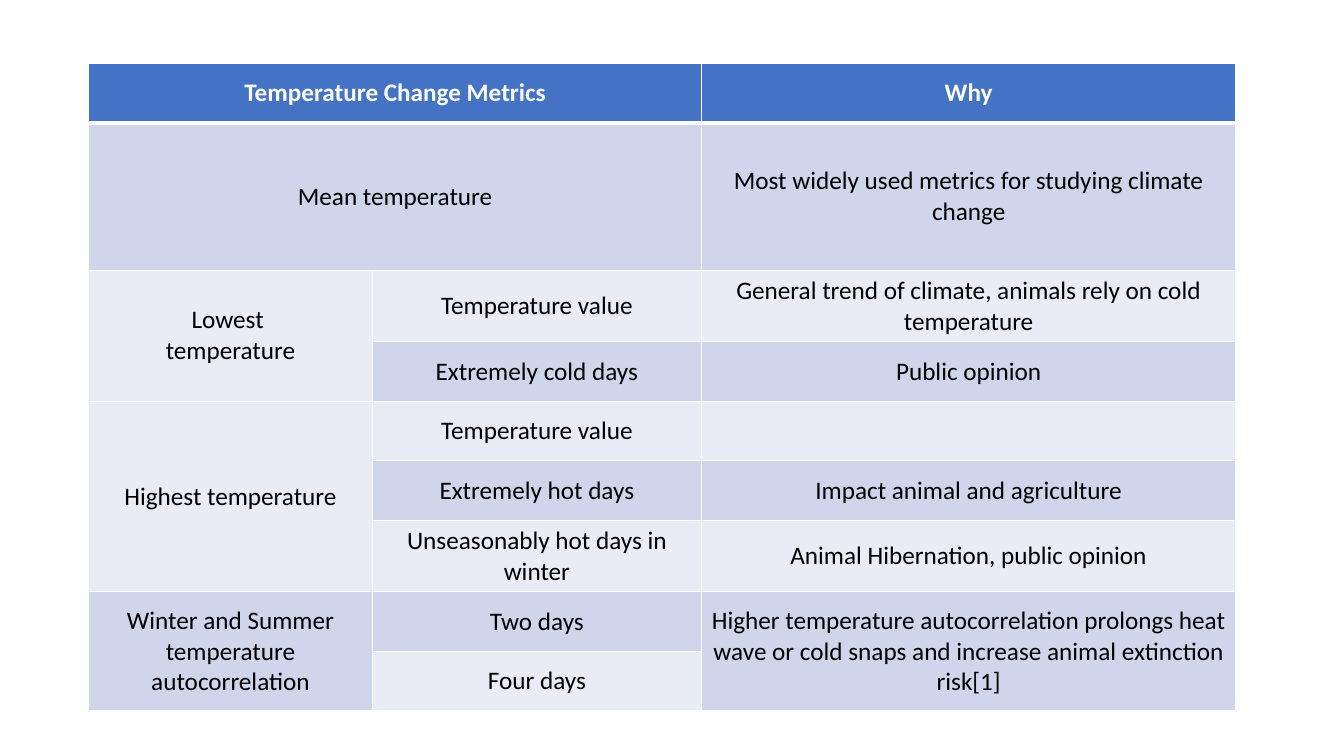
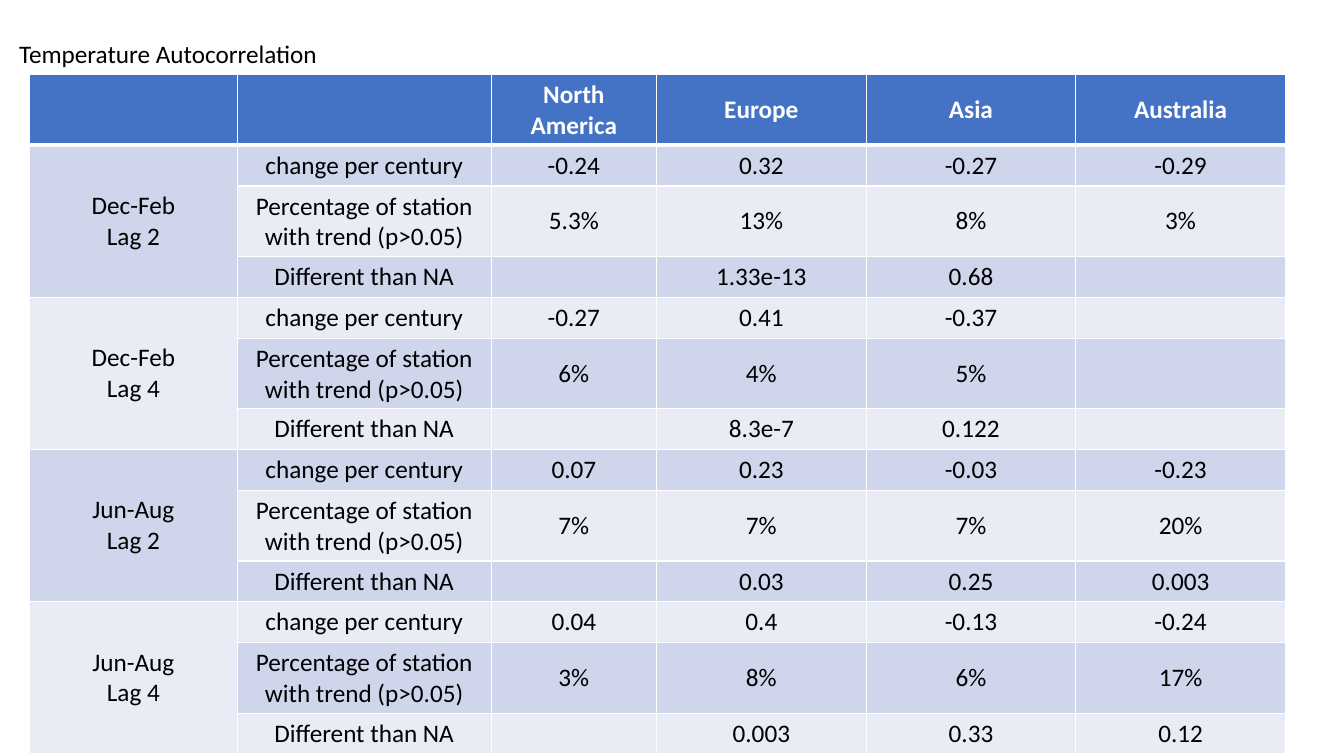
from dataclasses import dataclass

from lxml.etree import SubElement
from pptx import Presentation
from pptx.dml.color import RGBColor as Rgb
from pptx.enum.text import MSO_ANCHOR as Anchor, MSO_AUTO_SIZE as AutoSize, PP_ALIGN as Align
from pptx.oxml.ns import qn
from pptx.util import Inches, Pt


@dataclass(frozen=True)
class Theme:
    header: str = "4472C4"
    bands: tuple = ("E9EBF5", "CFD5EA")
    border: str = "FFFFFF"
    header_text: str = "FFFFFF"
    text: str = "000000"
    font: str = "Calibri"
    size: int = 18
    thin: int = 1
    thick: int = 3


THEME = Theme()
WIDTH, HEIGHT = Inches(13.33), Inches(7.5)

METRIC_ROWS = [
    ["Temperature Change Metrics", "", "Why"],
    ["Mean temperature", "", "Most widely used metrics for studying climate change"],
    ["Lowest \ntemperature", "Temperature value",
     "General trend of climate, animals rely on cold temperature"],
    ["", "Extremely cold days", "Public opinion"],
    ["Highest temperature", "Temperature value", ""],
    ["", "Extremely hot days", "Impact animal and agriculture"],
    ["", "Unseasonably hot days in winter", "Animal Hibernation, public opinion"],
    ["Winter and Summer temperature autocorrelation", "Two days",
     "Higher temperature autocorrelation prolongs heat wave or cold snaps "
     "and increase animal extinction risk[1]"],
    ["", "Four days", ""],
]
METRIC_MERGES = [
    ((0, 0), (0, 1)), ((1, 0), (1, 1)), ((2, 0), (3, 0)),
    ((4, 0), (6, 0)), ((7, 0), (8, 0)), ((7, 2), (8, 2)),
]

REGIONS = ["North America", "Europe", "Asia", "Australia"]
MEASURES = ["change per century", "Percentage of station with trend (p>0.05)", "Different than NA"]
SEASONS = {
    "Dec-Feb\nLag 2": [
        ["-0.24", "0.32", "-0.27", "-0.29"],
        ["5.3%", "13%", "8%", "3%"],
        ["", "1.33e-13", "0.68", ""],
    ],
    "Dec-Feb\nLag 4": [
        ["-0.27", "0.41", "-0.37", ""],
        ["6%", "4%", "5%", ""],
        ["", "8.3e-7", "0.122", ""],
    ],
    "Jun-Aug\nLag 2": [
        ["0.07", "0.23", "-0.03", "-0.23"],
        ["7%", "7%", "7%", "20%"],
        ["", "0.03", "0.25", "0.003"],
    ],
    "Jun-Aug\nLag 4": [
        ["0.04", "0.4", "-0.13", "-0.24"],
        ["3%", "8%", "6%", "17%"],
        ["", "0.003", "0.33", "0.12"],
    ],
}


def across(percent):
    return round(WIDTH * percent / 100)


def down(percent):
    return round(HEIGHT * percent / 100)


def apply(target, values):
    for name, value in values.items():
        setattr(target, name, value)


def write(frame, text, color, bold=False, align=Align.LEFT):
    frame.text = text
    for para in frame.paragraphs:
        para.alignment = align
        for span in para.runs:
            apply(span.font, {"name": THEME.font, "size": Pt(THEME.size), "bold": bold})
            span.font.color.rgb = Rgb.from_string(color)


def draw_borders(cell, row):
    widths = {
        "a:lnL": THEME.thin,
        "a:lnR": THEME.thin,
        "a:lnT": THEME.thick if row == 1 else THEME.thin,
        "a:lnB": THEME.thick if row == 0 else THEME.thin,
    }
    properties = cell._tc.get_or_add_tcPr()
    for side, points in widths.items():
        line = SubElement(properties, qn(side), w=str(Pt(points)))
        fill = SubElement(line, qn("a:solidFill"))
        SubElement(fill, qn("a:srgbClr"), val=THEME.border)


def format_cell(cell, row, text):
    is_header = row == 0
    draw_borders(cell, row)
    cell.fill.solid()
    cell.fill.fore_color.rgb = Rgb.from_string(THEME.header if is_header else THEME.bands[row % 2])
    cell.vertical_anchor = Anchor.MIDDLE
    color = THEME.header_text if is_header else THEME.text
    write(cell.text_frame, text, color, bold=is_header, align=Align.CENTER)


def add_grid(page, left, top, columns, heights, rows, merges):
    grid = page.shapes.add_table(
        len(rows), len(columns), across(left), down(top), across(sum(columns)), down(sum(heights))
    ).table
    apply(grid, {"first_row": True, "horz_banding": False})
    for column, share in zip(grid.columns, columns):
        column.width = across(share)
    for line, share in zip(grid.rows, heights):
        line.height = down(share)
    for row, texts in enumerate(rows):
        for column, text in enumerate(texts):
            format_cell(grid.cell(row, column), row, text)
    for first, last in merges:
        grid.cell(*first).merge(grid.cell(*last))


def add_caption(page, left, top, width, height, text):
    box = page.shapes.add_textbox(across(left), down(top), across(width), down(height))
    write(box.text_frame, text, THEME.text)
    apply(box.text_frame, {"word_wrap": False, "auto_size": AutoSize.SHAPE_TO_FIT_TEXT})


def add_metrics_page(deck):
    page = deck.slides.add_slide(deck.slide_layouts[6])
    heights = [7.87, 19.47] + [7.87] * 7
    add_grid(page, 6.6, 8.4, [21.1, 24.5, 39.75], heights, METRIC_ROWS, METRIC_MERGES)


def add_autocorrelation_page(deck):
    page = deck.slides.add_slide(deck.slide_layouts[6])
    add_caption(page, 0.68, 4.4, 23.93, 5.33, "Temperature Autocorrelation")
    rows = [["", ""] + REGIONS]
    merges = []
    for season, results in SEASONS.items():
        start = len(rows)
        for index, (measure, values) in enumerate(zip(MEASURES, results)):
            rows.append(["" if index else season, measure] + values)
        merges.append(((start, 0), (len(rows) - 1, 0)))
    columns = [15.45, 18.9, 12.3] + [15.6] * 3
    add_grid(page, 2.2, 9.87, columns, [5.4] * len(rows), rows, merges)


def main():
    deck = Presentation()
    apply(deck, {"slide_width": WIDTH, "slide_height": HEIGHT})
    add_metrics_page(deck)
    add_autocorrelation_page(deck)
    deck.save("out.pptx")


if __name__ == "__main__":
    main()
